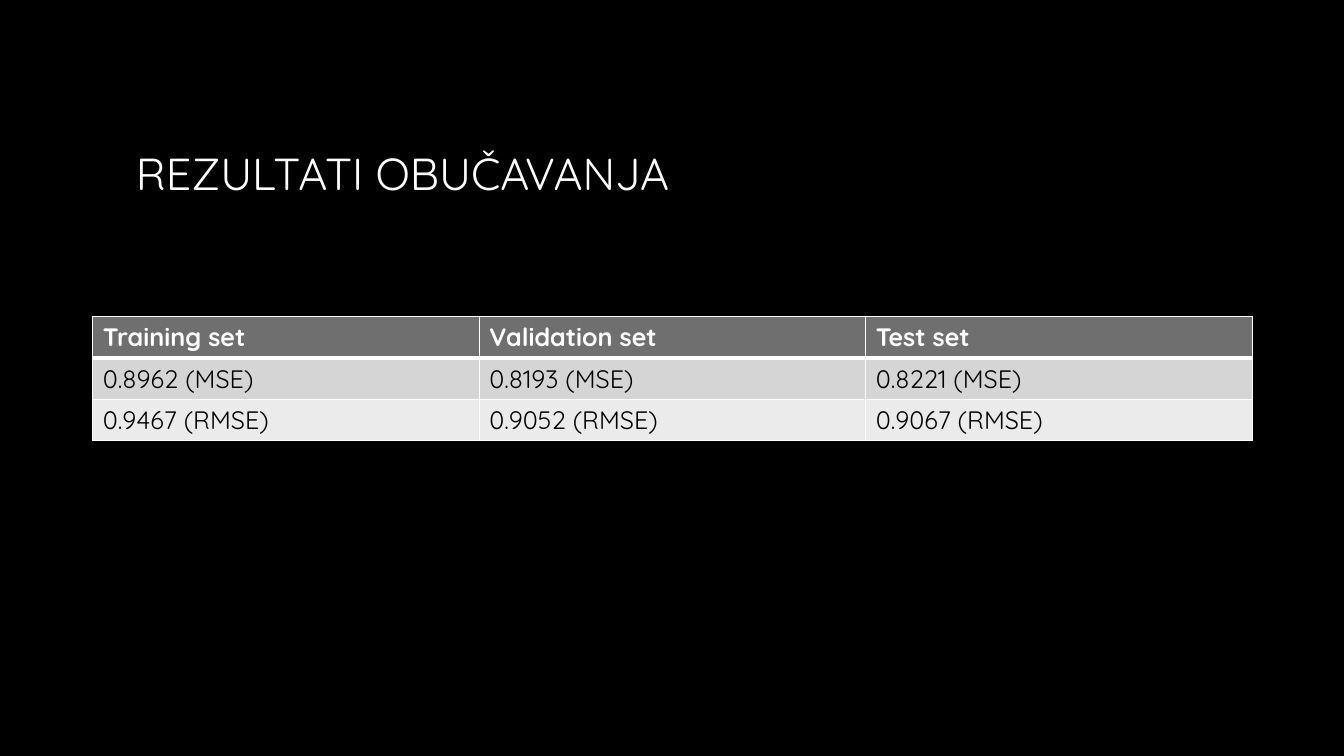
import pptx
import pptx.dml.color
import pptx.enum.text
import pptx.oxml
import pptx.oxml.ns
import pptx.util

Inches = pptx.util.Inches
FONT = "Quicksand"
WHITE, BLACK = "FFFFFF", "000000"
RESULTS = [
    ["Training set", "Validation set", "Test set"],
    ["0.8962 (MSE)", "0.8193 (MSE)", "0.8221 (MSE)"],
    ["0.9467 (RMSE)", "0.9052 (RMSE)", "0.9067 (RMSE)"],
]
ROW_FILLS = ["6F6F6F", "D5D5D5", "EBEBEB"]


def rgb(color):
    """Return the colour for a hex string."""
    return pptx.dml.color.RGBColor.from_string(color)


def set_fill(fill, color):
    """Make a fill solid in one colour."""
    fill.solid()
    fill.fore_color.rgb = rgb(color)


def write(tf, text, color, **formats):
    """Write one formatted run into a text frame."""
    r = tf.paragraphs[0].add_run()
    r.text = text
    for name, value in {"name": FONT, **formats}.items():
        setattr(r.font, name, value)
    r.font.color.rgb = rgb(color)


def add_title(s, text):
    """Add the vertically centred slide title."""
    sp = s.shapes.add_textbox(Inches(1.25), Inches(0.67), Inches(10.83), Inches(2.08))
    tf = sp.text_frame
    tf.word_wrap = True
    tf.vertical_anchor = pptx.enum.text.MSO_ANCHOR.MIDDLE
    write(tf, text, WHITE, size=pptx.util.Pt(32))


def set_borders(cell, widths):
    """Draw white cell borders with the given widths in points."""
    for side, width in widths.items():
        cell._tc.get_or_add_tcPr().append(pptx.oxml.parse_xml(
            f'<a:ln{side} {pptx.oxml.ns.nsdecls("a")} w="{pptx.util.Pt(width)}">'
            f'<a:solidFill><a:srgbClr val="{WHITE}"/></a:solidFill></a:ln{side}>'))


def add_results(s, rows):
    """Add the table of errors with a bold header row."""
    frame = s.shapes.add_table(len(rows), len(rows[0]), Inches(0.92), Inches(3.14),
                               Inches(11.5), Inches(1.24))
    table = frame.table
    for i, texts in enumerate(rows):
        table.rows[i].height = Inches(0.41)
        header = i == 0
        for j, text in enumerate(texts):
            cell = table.cell(i, j)
            set_borders(cell, {"L": 1, "R": 1, "T": 3 if i == 1 else 1,
                               "B": 3 if header else 1})
            set_fill(cell.fill, ROW_FILLS[i])
            write(cell.text_frame, text, WHITE if header else BLACK,
                  size=pptx.util.Pt(18), bold=header)


def main():
    """Build the training results slide."""
    prs = pptx.Presentation()
    prs.slide_width, prs.slide_height = Inches(13.33), Inches(7.5)
    s = prs.slides.add_slide(prs.slide_layouts[6])
    set_fill(s.background.fill, BLACK)
    add_title(s, "REZULTATI OBUČAVANJA")
    add_results(s, RESULTS)
    prs.save("out.pptx")


if __name__ == "__main__":
    main()
